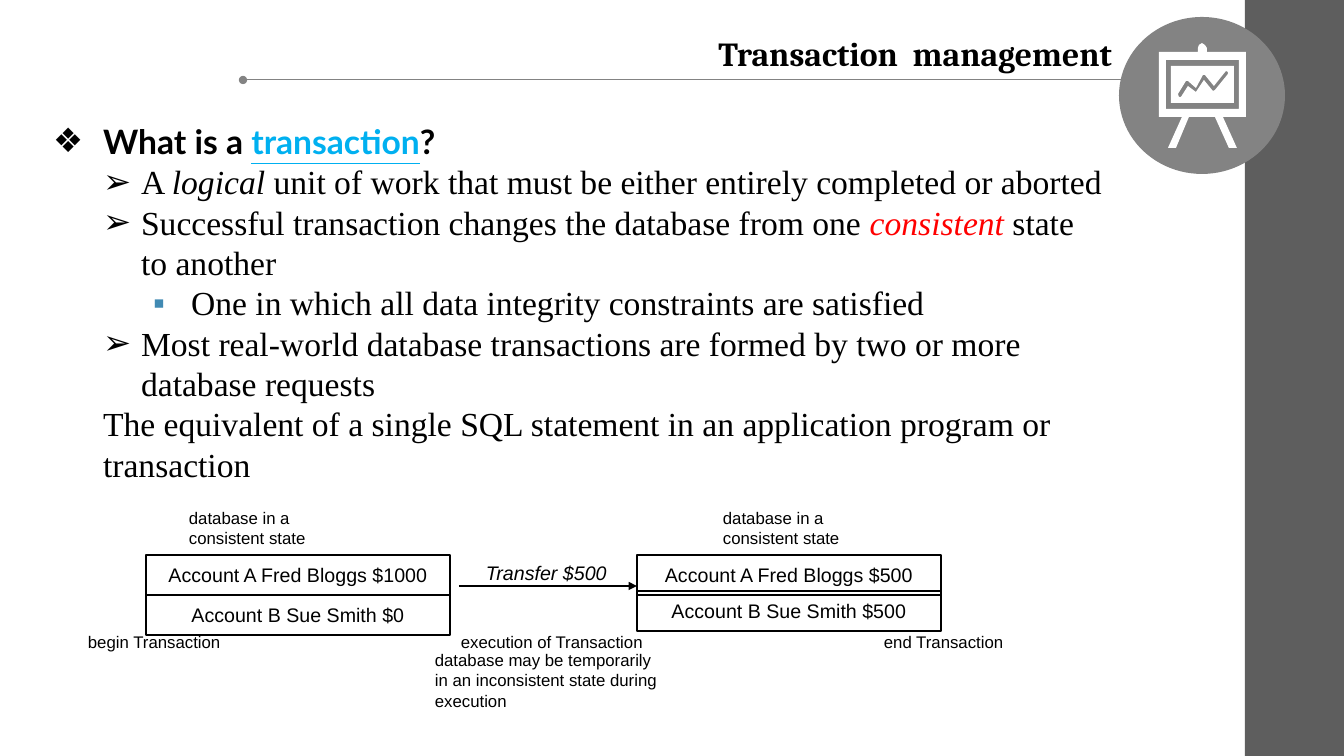
import lxml.etree
import pptx
import pptx.dml.color
import pptx.enum.shapes
import pptx.enum.text
import pptx.oxml
import pptx.oxml.ns
import pptx.util

PX = 914400 / 100.8  # EMU in one px

BLACK = pptx.dml.color.RGBColor(0x00, 0x00, 0x00)
WHITE = pptx.dml.color.RGBColor(0xFF, 0xFF, 0xFF)
GRAY = pptx.dml.color.RGBColor(0x83, 0x83, 0x83)
DARK_GRAY = pptx.dml.color.RGBColor(0x5E, 0x5E, 0x5E)
SKY = pptx.dml.color.RGBColor(0x00, 0xB0, 0xF0)
RED = pptx.dml.color.RGBColor(0xFF, 0x00, 0x00)
STEEL = pptx.dml.color.RGBColor(0x41, 0x8A, 0xB3)

SHAPE = pptx.enum.shapes.MSO_SHAPE
ALIGN = pptx.enum.text.PP_ALIGN
ANCHOR = pptx.enum.text.MSO_ANCHOR

# Body list: level, indent and hanging in px, bullet, bullet colour, spans
SERIF = {"font": "Times New Roman"}
LATO = {"font": "Lato", "bold": True}
BODY = [
    (0, 50, 50, "❖", BLACK, [
        ("What is a ", LATO),
        ("transaction", {**LATO, "color": SKY, "underline": True}),
        ("?", LATO)]),
    (1, 88, 38, "➢", BLACK, [
        ("A ", SERIF),
        ("logical ", {**SERIF, "italic": True}),
        ("unit of work that must be either entirely completed or aborted", SERIF)]),
    (1, 88, 38, "➢", BLACK, [
        ("Successful transaction changes the database from one ", SERIF),
        ("consistent", {**SERIF, "color": RED, "italic": True}),
        (" state to another", SERIF)]),
    (2, 138, 38, "▪", STEEL, [
        ("One in which all data integrity constraints are satisfied", SERIF)]),
    (1, 88, 38, "➢", BLACK, [
        ("Most real-world database transactions are formed by two or more "
         "database requests", SERIF)]),
    (1, 50, 0, None, None, [
        ("The equivalent of a single SQL statement in an application program "
         "or transaction", SERIF)]),
]

# Presentation board: outline with legs, frame, panel, chart line
BOARD = [
    [(1198, 48), (1199, 45), (1202, 43), (1205, 45), (1207, 48), (1207, 52),
     (1246, 52), (1246, 117), (1223, 117), (1237, 148), (1229, 148),
     (1215, 117), (1189, 117), (1176, 148), (1168, 148), (1182, 117),
     (1159, 117), (1159, 52), (1198, 52)],
    [(1166, 60), (1166, 109), (1239, 109), (1239, 60)],
    [(1171, 66), (1234, 66), (1234, 103), (1171, 103)],
    [(1226, 71), (1214, 86), (1205, 75), (1203, 75), (1196, 88), (1188, 81),
     (1186, 81), (1178, 94), (1179, 97), (1181, 97), (1188, 86), (1196, 92),
     (1204, 80), (1213, 91), (1215, 90), (1228, 74), (1228, 72)],
]


def px(length):
    return pptx.util.Emu(round(length * PX))


def add_span(para, text, *, font="Arial", size=24, color=BLACK,
             bold=False, italic=False, underline=False):
    span = para.add_run()
    span.text = text
    span.font.name = font
    span.font.size = pptx.util.Pt(size)
    span.font.color.rgb = color
    span.font.bold = bold
    span.font.italic = italic
    span.font.underline = underline


class Painter:
    def __init__(self, deck):
        self.page = deck.slides.add_slide(deck.slide_layouts[1])
        self.shapes = self.page.shapes

    def place(self, box, left, top, width, height):
        box.left, box.top = px(left), px(top)
        box.width, box.height = px(width), px(height)
        box.text_frame.auto_size = pptx.enum.text.MSO_AUTO_SIZE.NONE
        box.text_frame.vertical_anchor = ANCHOR.TOP

    def title(self, text, *area):
        box = self.shapes.title
        self.place(box, *area)
        para = box.text_frame.paragraphs[0]
        para.alignment = ALIGN.RIGHT
        add_span(para, text, font="Cambria", bold=True)

    def body(self, items, *area):
        box = self.page.placeholders[1]
        self.place(box, *area)
        frame = box.text_frame
        for number, (level, indent, hanging, bullet, color, spans) in enumerate(items):
            para = frame.add_paragraph() if number else frame.paragraphs[0]
            para.level = level
            para.space_before = para.space_after = pptx.util.Pt(0)
            para.line_spacing = pptx.util.Pt(28.8) if number else 1.0
            self.bullet(para, indent, hanging, bullet, color)
            for text, style in spans:
                add_span(para, text, **style)

    def bullet(self, para, indent, hanging, mark, color):
        name = pptx.oxml.ns.qn
        properties = para._p.get_or_add_pPr()
        properties.set("marL", str(px(indent)))
        properties.set("indent", str(-px(hanging)))
        if mark is None:
            lxml.etree.SubElement(properties, name("a:buNone"))
            return
        tint = lxml.etree.SubElement(properties, name("a:buClr"))
        lxml.etree.SubElement(tint, name("a:srgbClr"), val=str(color))
        lxml.etree.SubElement(properties, name("a:buChar"), char=mark)

    def label(self, text, left, top, width, height, wrap=True, **style):
        box = self.shapes.add_textbox(px(left), px(top), px(width), px(height))
        box.text_frame.word_wrap = wrap
        add_span(box.text_frame.paragraphs[0], text, **style)

    def solid(self, kind, color, *area):
        self.paint(self.shapes.add_shape(kind, *map(px, area)), color)

    def paint(self, shape, color):
        shape.shadow.inherit = False
        shape.fill.solid()
        shape.fill.fore_color.rgb = color
        shape.line.fill.background()

    def account(self, text, *area):
        box = self.shapes.add_shape(SHAPE.RECTANGLE, *map(px, area))
        box.shadow.inherit = False
        box.fill.background()
        box.line.color.rgb = BLACK
        box.line.width = pptx.util.Pt(1)
        box.text_frame.word_wrap = True
        box.text_frame.vertical_anchor = ANCHOR.MIDDLE
        para = box.text_frame.paragraphs[0]
        para.alignment = ALIGN.CENTER
        add_span(para, text, size=14)

    def line(self, left, right, top, color, width, end, kind):
        line = self.shapes.add_connector(
            pptx.enum.shapes.MSO_CONNECTOR.STRAIGHT,
            px(left), px(top), px(right), px(top))
        line.line.color.rgb = color
        line.line.width = pptx.util.Pt(width)
        name = pptx.oxml.ns.qn
        lxml.etree.SubElement(line.line._get_or_add_ln(), name(end), type=kind)
        lxml.etree.SubElement(line._element.spPr, name("a:effectLst"))

    def outline(self, contours, color):
        builder = self.shapes.build_freeform(*contours[0][0], scale=PX)
        builder.add_line_segments(contours[0][1:], close=True)
        for contour in contours[1:]:
            builder.move_to(*contour[0])
            builder.add_line_segments(contour[1:], close=True)
        self.paint(builder.convert_to_shape(), color)


def main():
    deck = pptx.Presentation()
    deck.slide_width, deck.slide_height = px(1344), px(756)
    painter = Painter(deck)

    # Side band, heading and icon
    painter.solid(SHAPE.RECTANGLE, DARK_GRAY, 1245, 0, 99, 756)
    painter.solid(SHAPE.OVAL, GRAY, 1119, 17, 166, 157)
    painter.title("Transaction  management", 279, 28, 843, 50)
    painter.line(243, 1159, 80, GRAY, 0.75, "a:headEnd", "oval")
    painter.outline(BOARD, WHITE)

    # List
    painter.body(BODY, 43, 116, 1073, 386)

    # State notes
    for left, width in ((179, 177), (713, 141)):
        painter.label("database in a consistent state", left, 503, width, 59, size=12)
    painter.label("database may be temporarily in an inconsistent state during execution",
                  425, 645, 250, 83, size=12)

    # Phases of the transaction
    for text, left, width in (("begin Transaction", 78, 154),
                              ("execution of Transaction", 451, 204),
                              ("end Transaction", 874, 141)):
        painter.label(text, left, 627, width, 28, wrap=False, size=12)

    # Accounts before and after the transfer
    for text, left, top in (("Account A Fred Bloggs $1000", 146, 555),
                            ("Account B Sue Smith $0", 146, 595),
                            ("Account B Sue Smith $500", 637, 591),
                            ("Account A Fred Bloggs $500", 637, 555)):
        painter.account(text, left, top, 304, 40)
    painter.line(459, 637, 586, BLACK, 1, "a:tailEnd", "triangle")
    painter.label("Transfer $500", 476, 556, 161, 40, size=14, italic=True)

    deck.save("out.pptx")


if __name__ == "__main__":
    main()
